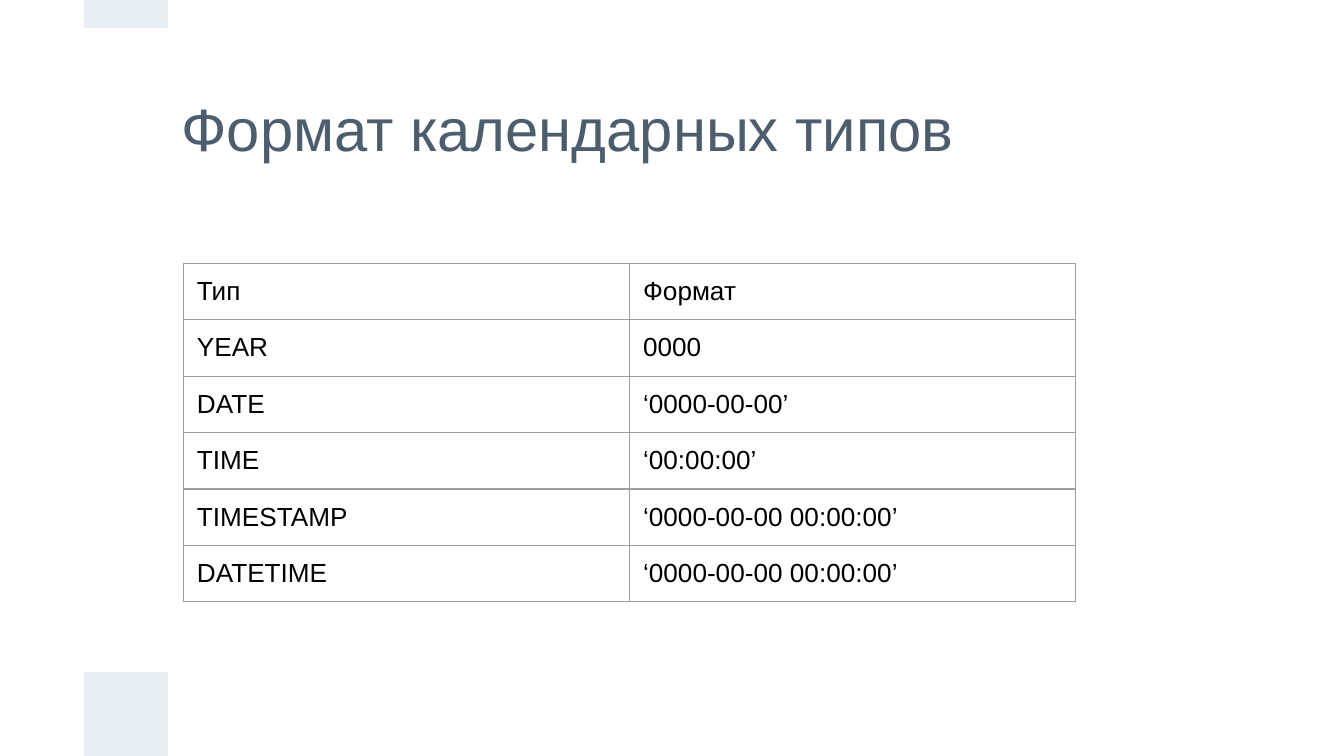
"""Build a slide that lists the formats of calendar data types."""
from typing import NamedTuple

from lxml import etree
from pptx import Presentation
from pptx.dml.color import RGBColor
from pptx.enum.shapes import MSO_SHAPE
from pptx.enum.text import MSO_ANCHOR, MSO_AUTO_SIZE, PP_ALIGN
from pptx.oxml.ns import qn
from pptx.util import Pt

EMU_PER_PX = 4572
SLIDE_WIDTH, SLIDE_HEIGHT = 2000, 1125
INSET = 20
ACCENT_SIZE = 125
COLUMN_WIDTH, ROW_HEIGHT = 664, 84
BORDER_WIDTH = Pt(0.75)

SLATE = RGBColor(0x4C, 0x5D, 0x6E)
PALE_BLUE = RGBColor(0xE9, 0xED, 0xF4)
BLACK = RGBColor(0, 0, 0)
GREY = RGBColor(0x9E, 0x9E, 0x9E)

RECTANGLE = MSO_SHAPE.RECTANGLE
MIDDLE = MSO_ANCHOR.MIDDLE
LEFT = PP_ALIGN.LEFT
NO_AUTOFIT = MSO_AUTO_SIZE.NONE

TITLE_FONT = {"name": "Arial", "size": Pt(32), "bold": False}
CELL_FONT = {"name": "Arial", "size": Pt(14), "bold": False}
MARGINS = {f"margin_{side}": INSET * EMU_PER_PX
           for side in ("left", "top", "right", "bottom")}
TITLE_FRAME = {**MARGINS, "vertical_anchor": MIDDLE, "word_wrap": True,
               "auto_size": NO_AUTOFIT}


class Box(NamedTuple):
    left: int
    top: int
    width: int
    height: int


class CalendarType(NamedTuple):
    name: str
    pattern: str


TITLE_BOX = Box(250, 65, 1538, 250)
ACCENTS = (
    Box(ACCENT_SIZE, SLIDE_HEIGHT - ACCENT_SIZE, ACCENT_SIZE, ACCENT_SIZE),
    Box(ACCENT_SIZE, 0, ACCENT_SIZE, 42),
)
CALENDAR_TYPES = (
    CalendarType("Тип", "Формат"),
    CalendarType("YEAR", "0000"),
    CalendarType("DATE", "‘0000-00-00’"),
    CalendarType("TIME", "‘00:00:00’"),
    CalendarType("TIMESTAMP", "‘0000-00-00 00:00:00’"),
    CalendarType("DATETIME", "‘0000-00-00 00:00:00’"),
)
TABLE_BOX = Box(273, 392, COLUMN_WIDTH * len(CalendarType._fields),
                ROW_HEIGHT * len(CALENDAR_TYPES))


def to_emu(box: Box) -> list[int]:
    return [length * EMU_PER_PX for length in box]


def apply_format(target, values: dict) -> None:
    for attribute, value in values.items():
        setattr(target, attribute, value)


def format_text(paragraph, font_format: dict, color: RGBColor) -> None:
    paragraph.alignment = LEFT
    apply_format(paragraph.font, font_format)
    paragraph.font.color.rgb = color


def draw_title(slide, text: str) -> None:
    title = slide.shapes.title
    position = dict(zip(Box._fields, to_emu(TITLE_BOX)))
    apply_format(title, position)
    title.text_frame.text = text
    apply_format(title.text_frame, TITLE_FRAME)
    format_text(title.text_frame.paragraphs[0], TITLE_FONT, SLATE)


def draw_accent(slide, box: Box) -> None:
    accent = slide.shapes.add_shape(RECTANGLE, *to_emu(box))
    accent.shadow.inherit = False
    accent.fill.solid()
    accent.fill.fore_color.rgb = PALE_BLUE
    accent.line.fill.background()


def add_borders(cell) -> None:
    properties = cell._tc.get_or_add_tcPr()
    for position, edge in enumerate(("a:lnL", "a:lnR", "a:lnT", "a:lnB")):
        border = etree.Element(qn(edge), w=str(BORDER_WIDTH))
        fill = etree.SubElement(border, qn("a:solidFill"))
        etree.SubElement(fill, qn("a:srgbClr"), val=str(GREY))
        properties.insert(position, border)


def draw_cell(cell, text: str) -> None:
    cell.text = text
    apply_format(cell, MARGINS)
    cell.fill.background()
    format_text(cell.text_frame.paragraphs[0], CELL_FONT, BLACK)
    add_borders(cell)


def draw_types_table(slide, rows: tuple[CalendarType, ...]) -> None:
    table = slide.shapes.add_table(
        len(rows), len(CalendarType._fields), *to_emu(TABLE_BOX)).table
    apply_format(table, {"first_row": False, "horz_banding": False})
    for row_index, calendar_type in enumerate(rows):
        for column_index, text in enumerate(calendar_type):
            draw_cell(table.cell(row_index, column_index), text)


def main() -> None:
    presentation = Presentation()
    presentation.slide_width = SLIDE_WIDTH * EMU_PER_PX
    presentation.slide_height = SLIDE_HEIGHT * EMU_PER_PX
    slide = presentation.slides.add_slide(presentation.slide_layouts[0])
    subtitle = slide.placeholders[1].element
    subtitle.getparent().remove(subtitle)
    draw_title(slide, "Формат календарных типов")
    for box in ACCENTS:
        draw_accent(slide, box)
    draw_types_table(slide, CALENDAR_TYPES)
    presentation.save("out.pptx")


if __name__ == "__main__":
    main()
